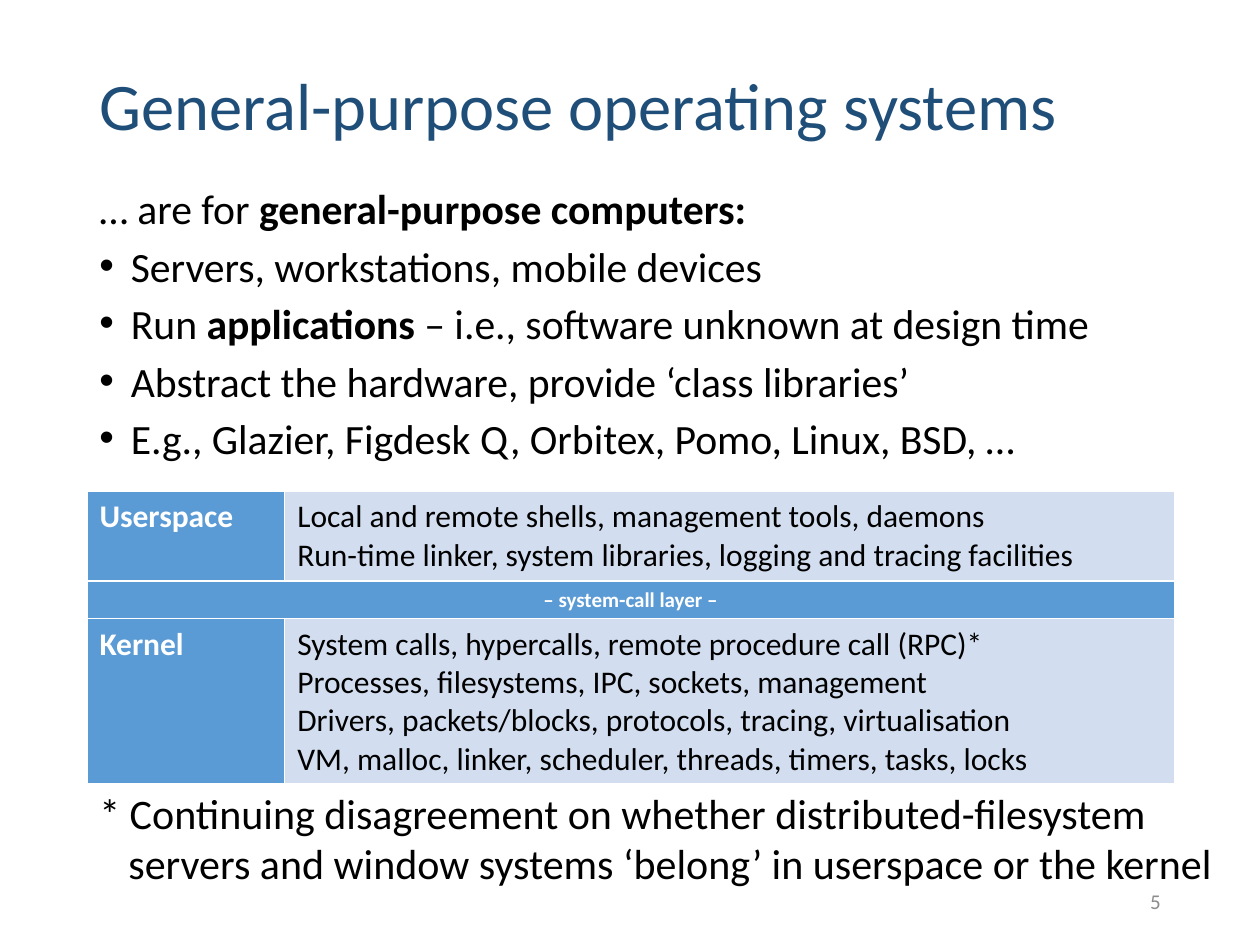
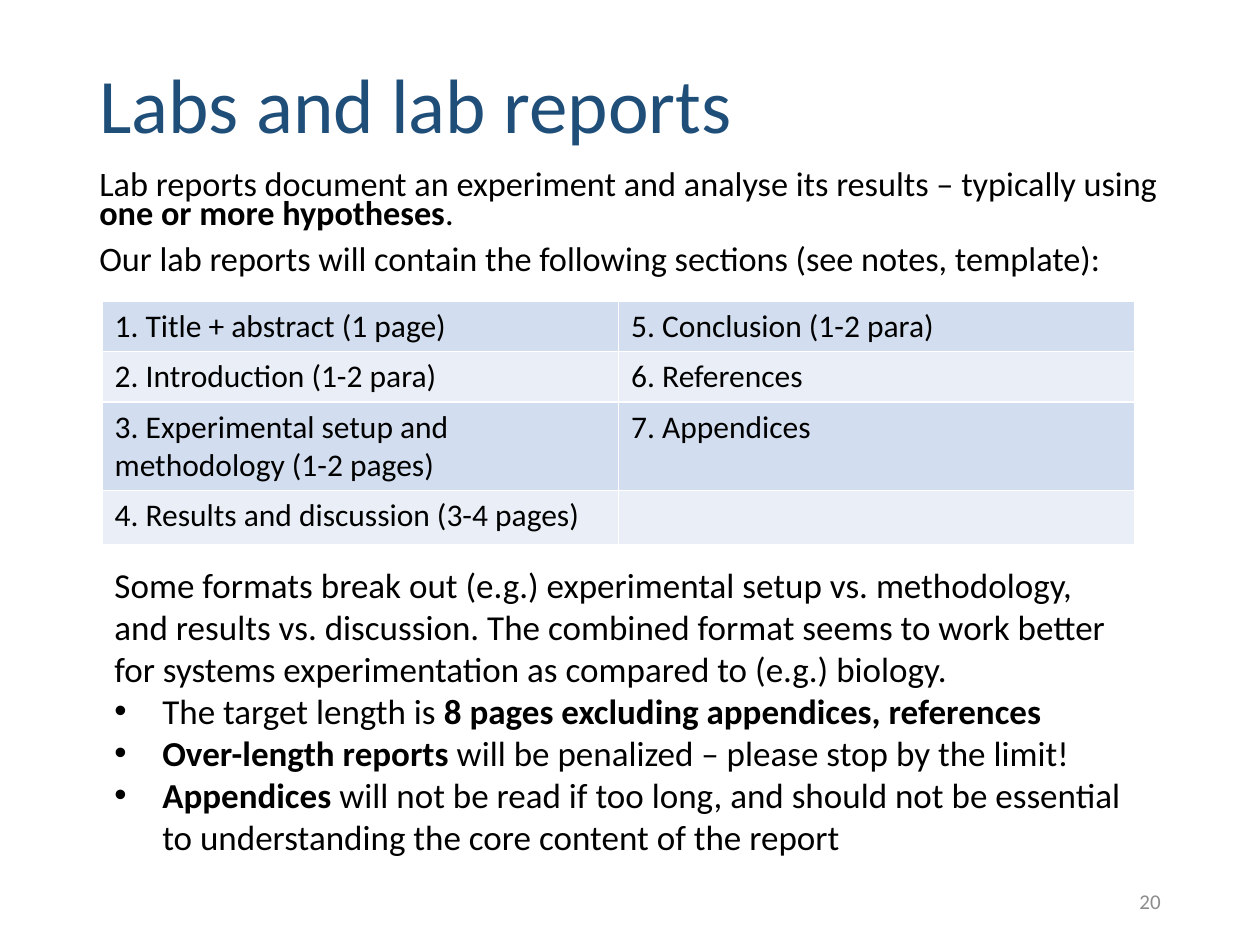
from lxml.etree import SubElement
from pptx import Presentation
from pptx.dml.color import RGBColor
from pptx.enum.text import MSO_ANCHOR as Anchor, PP_ALIGN as Align
from pptx.oxml.ns import qn
from pptx.util import Inches, Pt

COLORS = {
    "title": "1F4E79",
    "text": "000000",
    "number": "8C8C8C",
    "white": "FFFFFF",
    "header": "5B9BD5",
    "band": "D2DEEF",
    "light": "EAEFF7",
}
FONT = "Calibri"
LEFT, WIDTH = 0.69, 8.62


class Deck:
    """Holds the shared style and the current slide; **marks** make text bold."""

    def __init__(self):
        self.presentation = Presentation()
        self.presentation.slide_width = Inches(10)
        self.presentation.slide_height = Inches(7.5)
        self.slide = None

    def add_slide(self, title, title_size, number):
        self.slide = self.presentation.slides.add_slide(self.presentation.slide_layouts[6])
        self.text((LEFT, 0.25, WIDTH, 1.23), [title], title_size, color="title",
                  line_spacing=0.9, anchor=Anchor.MIDDLE)
        self.text((7.06, 6.95, 2.25, 0.4), [str(number)], 12, color="number",
                  align=Align.RIGHT, anchor=Anchor.MIDDLE)

    def text(self, box, lines, size, anchor=Anchor.TOP, **style):
        frame = self.slide.shapes.add_textbox(*map(Inches, box)).text_frame
        frame.word_wrap = True
        frame.vertical_anchor = anchor
        self.fill_frame(frame, lines, size, **style)

    def fill_frame(self, frame, lines, size, color="text", bold=False, align=Align.LEFT,
                   line_spacing=None, space_before=0, hanging=0.25, hang_all=False):
        for index, line in enumerate(lines):
            paragraph = frame.add_paragraph() if index else frame.paragraphs[0]
            bulleted = line.startswith("• ")
            if bulleted or hang_all:
                self.hang(paragraph, hanging, bulleted)
            paragraph.alignment = align
            if line_spacing:
                paragraph.line_spacing = line_spacing
            if index and space_before:
                paragraph.space_before = Pt(space_before)
            font = paragraph.font
            font.name, font.size, font.bold = FONT, Pt(size), bold
            font.color.rgb = RGBColor.from_string(COLORS[color])
            for part, words in enumerate(line.removeprefix("• ").split("**")):
                if words:
                    run = paragraph.add_run()
                    run.text = words
                    if part % 2:
                        run.font.bold = True

    def hang(self, paragraph, distance, bulleted):
        properties = paragraph._p.get_or_add_pPr()
        properties.set("marL", str(Inches(distance)))
        properties.set("indent", str(-Inches(distance)))
        if bulleted:
            SubElement(properties, qn("a:buFont")).set("typeface", "Arial")
            SubElement(properties, qn("a:buChar")).set("char", "•")

    def table(self, left, top, widths, heights):
        frame = self.slide.shapes.add_table(len(heights), len(widths), Inches(left), Inches(top),
                                            Inches(sum(widths)), Inches(sum(heights)))
        table = frame.table
        table.first_row = table.horz_banding = False
        for column, width in zip(table.columns, widths):
            column.width = Inches(width)
        for row, height in zip(table.rows, heights):
            row.height = Inches(height)
        return table

    def cell(self, cell, lines, fill, size=18, **style):
        properties = cell._tc.get_or_add_tcPr()
        for side in ("lnL", "lnR", "lnT", "lnB"):
            line = SubElement(properties, qn(f"a:{side}"), w=str(Pt(1)))
            solid = SubElement(line, qn("a:solidFill"))
            SubElement(solid, qn("a:srgbClr"), val=COLORS["white"])
        cell.fill.solid()
        cell.fill.fore_color.rgb = RGBColor.from_string(COLORS[fill])
        self.fill_frame(cell.text_frame, lines, size, **style)

    def header_cell(self, cell, label, **style):
        self.cell(cell, [label], "header", color="white", bold=True, **style)


def add_operating_systems(deck):
    deck.add_slide("General-purpose operating systems", 38, 5)
    deck.text((LEFT, 1.48, WIDTH, 2.27), [
        "… are for **general-purpose computers:**",
        "• Servers, workstations, mobile devices",
        "• Run **applications** – i.e., software unknown at design time",
        "• Abstract the hardware, provide ‘class libraries’",
        "• E.g., Glazier, Figdesk Q, Orbitex, Pomo, Linux, BSD, …",
    ], 23.8, line_spacing=0.8, space_before=10)

    layers = deck.table(LEFT, 3.9, [1.57, 7.06], [0.71, 0.3, 1.31])
    contents = {
        0: ("Userspace", [
            "Local and remote shells, management tools, daemons",
            "Run-time linker, system libraries, logging and tracing facilities",
        ]),
        2: ("Kernel", [
            "System calls, hypercalls, remote procedure call (RPC)*",
            "Processes, filesystems, IPC, sockets, management",
            "Drivers, packets/blocks, protocols, tracing, virtualisation",
            "VM, malloc, linker, scheduler, threads, timers, tasks, locks",
        ]),
    }
    for row, (layer, parts) in contents.items():
        deck.header_cell(layers.cell(row, 0), layer)
        deck.cell(layers.cell(row, 1), parts, "band")
    layers.cell(1, 0).merge(layers.cell(1, 1))
    deck.header_cell(layers.cell(1, 0), "– system-call layer –", size=12, align=Align.CENTER)

    deck.text((LEFT, 6.2, 9.08, 0.91), [
        "* Continuing disagreement on whether distributed-filesystem "
        "servers and window systems ‘belong’ in userspace or the kernel",
    ], 24, hanging=0.23, hang_all=True)


def add_lab_reports(deck):
    deck.add_slide("Labs and lab reports", 44, 20)
    deck.text((LEFT, 1.33, WIDTH, 1), [
        "Lab reports document an experiment and analyse its results – typically using "
        "**one or more hypotheses**.",
        "Our lab reports will contain the following sections (see notes, template):",
    ], 19.6, line_spacing=0.7, space_before=10)
    deck.text((0.81, 4.42, 8.19, 2.46), [
        "Some formats break out (e.g.) experimental setup vs. methodology, and results vs. "
        "discussion. The combined format seems to work better for systems experimentation "
        "as compared to (e.g.) biology.",
        "• The target length is **8 pages excluding appendices, references**",
        "• **Over-length reports** will be penalized – please stop by the limit!",
        "• **Appendices** will not be read if too long, and should not be essential to "
        "understanding the core content of the report",
    ], 20, hanging=0.38)

    sections = [
        ("1. Title + abstract (1 page)", "5. Conclusion (1-2 para)"),
        ("2. Introduction (1-2 para)", "6. References"),
        ("3. Experimental setup and methodology (1-2 pages)", "7. Appendices"),
        ("4. Results and discussion (3-4 pages)", ""),
    ]
    table = deck.table(0.81, 2.39, [4.1, 4.1], [0.4, 0.4, 0.7, 0.43])
    for row, labels in enumerate(sections):
        for column, label in enumerate(labels):
            deck.cell(table.cell(row, column), [label], "light" if row % 2 else "band")


def main():
    deck = Deck()
    add_operating_systems(deck)
    add_lab_reports(deck)
    deck.presentation.save("out.pptx")


if __name__ == "__main__":
    main()
